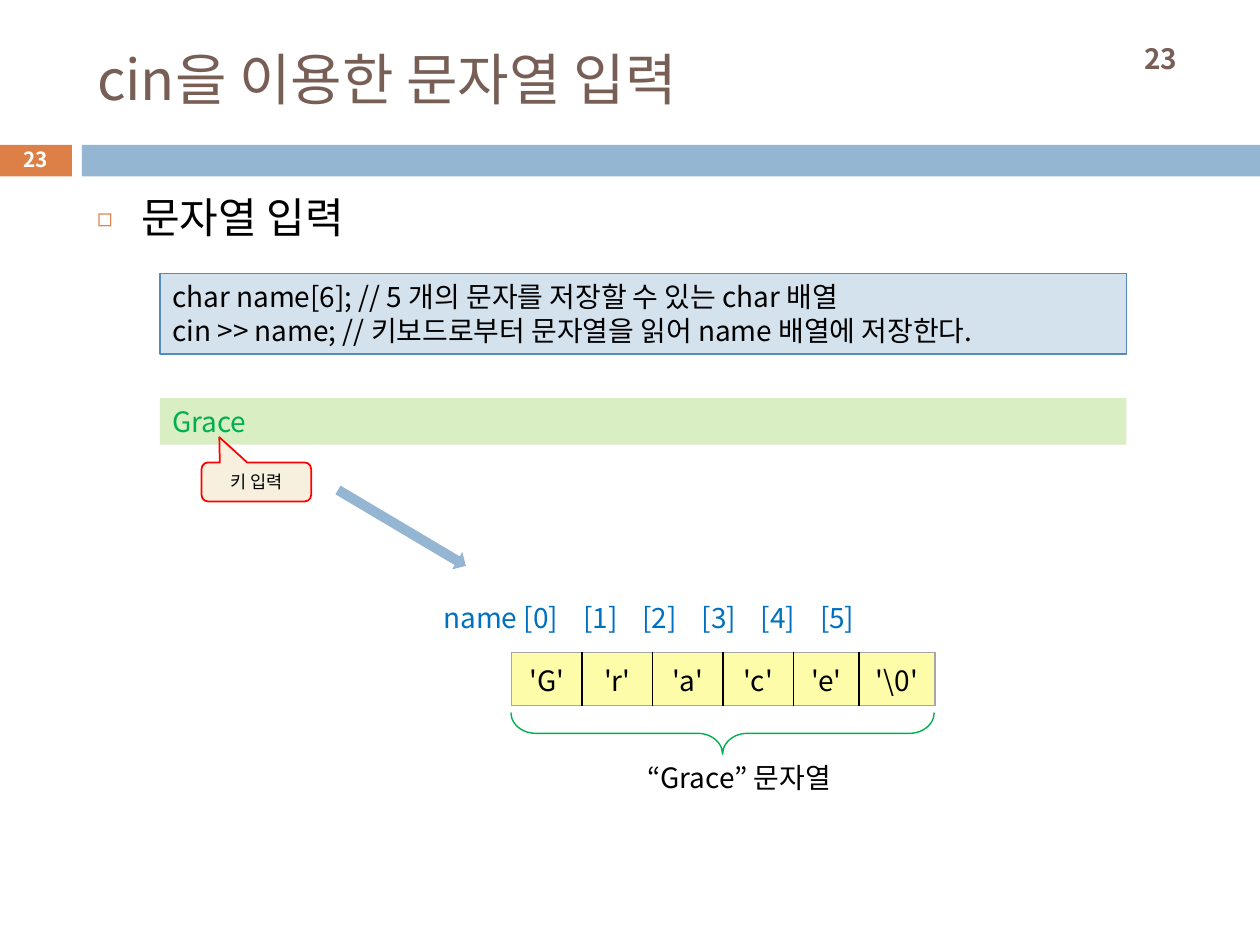
import pptx
import pptx.dml.color
import pptx.enum.shapes
import pptx.enum.text
import pptx.oxml
import pptx.oxml.ns
import pptx.util
from lxml import etree

Inches, Pt = pptx.util.Inches, pptx.util.Pt
SHAPE = pptx.enum.shapes.MSO_SHAPE
ALIGN = pptx.enum.text.PP_ALIGN
ANCHOR = pptx.enum.text.MSO_ANCHOR
FONT = "Noto Sans CJK KR"
COLORS = {
    "text": "000000", "brown": "775F55", "orange": "DD8047", "blue": "94B6D2",
    "white": "FFFFFF", "cell": "FDFDA9", "cell_edge": "A6A6A6", "green": "00B050",
    "index": "0070C0", "code": "D4E2ED", "code_edge": "558BB8",
    "input": "DAEEC4", "callout": "F7F0DE", "red": "FF0000",
}


def rgb(name):
    return pptx.dml.color.RGBColor.from_string(COLORS[name])


def add_xml(parent, tag, **attributes):
    return etree.SubElement(parent, pptx.oxml.ns.qn(tag), attributes)


class SlideBuilder:
    def __init__(self, slide):
        self.slide = slide

    def fill_text(self, frame, lines, size=16, color="text", bold=False,
                  align=ALIGN.LEFT, anchor=ANCHOR.TOP):
        frame.word_wrap = True
        frame.auto_size = pptx.enum.text.MSO_AUTO_SIZE.NONE
        frame.vertical_anchor = anchor
        for number, line in enumerate(lines):
            paragraph = frame.add_paragraph() if number else frame.paragraphs[0]
            self.add_run(paragraph, line, size, color, bold, align)

    def add_run(self, paragraph, text, size, color, bold=False, align=ALIGN.LEFT):
        paragraph.alignment = align
        run = paragraph.add_run()
        run.text = text
        run.font.name = FONT
        run.font.size = Pt(size)
        run.font.bold = bold
        run.font.color.rgb = rgb(color)
        add_xml(run.font._element, "a:ea", typeface=FONT)

    def placeholder(self, index, box, text, **style):
        holder = self.slide.placeholders[index]
        holder.left, holder.top, holder.width, holder.height = map(Inches, box)
        self.fill_text(holder.text_frame, [text], **style)
        return holder.text_frame.paragraphs[0]

    def bullet(self, paragraph, char, color, percent, indent):
        props = paragraph._p.get_or_add_pPr()
        props.set("marL", str(Inches(indent)))
        props.set("indent", str(-Inches(indent)))
        add_xml(add_xml(props, "a:buClr"), "a:srgbClr", val=COLORS[color])
        add_xml(props, "a:buSzPct", val=str(percent * 1000))
        add_xml(props, "a:buFont", typeface=FONT)
        add_xml(props, "a:buChar", char=char)

    def text(self, box, *lines, **style):
        label = self.slide.shapes.add_textbox(*map(Inches, box))
        self.fill_text(label.text_frame, lines, **style)
        return label.text_frame.paragraphs[0]

    def tab_stops(self, paragraph, positions):
        stops = add_xml(paragraph._p.get_or_add_pPr(), "a:tabLst")
        for position in positions:
            add_xml(stops, "a:tab", pos=str(Inches(position)), algn="l")

    def shape(self, kind, box, *lines, fill=None, line=None, width=1,
              rotation=0, adjust=(), **style):
        shape = self.slide.shapes.add_shape(kind, *map(Inches, box))
        shape.shadow.inherit = False
        shape.rotation = rotation
        for number, value in enumerate(adjust):
            shape.adjustments[number] = value
        if fill:
            shape.fill.solid()
            shape.fill.fore_color.rgb = rgb(fill)
        else:
            shape.fill.background()
        if line:
            shape.line.color.rgb = rgb(line)
            shape.line.width = Pt(width)
        else:
            shape.line.fill.background()
        if lines:
            self.fill_text(shape.text_frame, lines, **style)

    def array(self, left, top, height, widths, values):
        frame = self.slide.shapes.add_table(
            1, len(values), *map(Inches, (left, top, sum(widths), height)))
        table = frame.table
        table.first_row = table.horz_banding = False
        last = len(values) - 1
        for number, (width, value) in enumerate(zip(widths, values)):
            table.columns[number].width = Inches(width)
            cell = table.cell(0, number)
            self.add_run(cell.text_frame.paragraphs[0], value, 16, "text",
                         align=ALIGN.CENTER)
            edges = {"a:lnL": number == 0, "a:lnR": number == last,
                     "a:lnT": True, "a:lnB": True}
            for tag, outer in edges.items():
                edge = add_xml(cell._tc.get_or_add_tcPr(), tag, w=str(Pt(1)))
                color = COLORS["cell_edge" if outer else "text"]
                add_xml(add_xml(edge, "a:solidFill"), "a:srgbClr", val=color)
            cell.fill.solid()
            cell.fill.fore_color.rgb = rgb("cell")


def main():
    deck = pptx.Presentation()
    deck.slide_width, deck.slide_height = Inches(10), Inches(7.5)
    page = SlideBuilder(deck.slides.add_slide(deck.slide_layouts[1]))
    centered = {"align": ALIGN.CENTER, "anchor": ANCHOR.MIDDLE}

    # Header band and page numbers
    page.shape(SHAPE.RECTANGLE, (-0.01, 1.15, 0.58, 0.25), fill="orange")
    page.shape(SHAPE.RECTANGLE, (0.65, 1.15, 9.35, 0.25), fill="blue")
    page.text((8.75, 0.25, 0.92, 0.42), "23", color="brown", bold=True, **centered)
    page.text((-0.01, 1.13, 0.58, 0.27), "23", size=11.9, color="white",
              bold=True, **centered)

    # Title and topic
    page.placeholder(0, (0.67, 0.25, 8.92, 0.74), "cin을 이용한 문자열 입력",
                     size=32, color="brown", anchor=ANCHOR.MIDDLE)
    topic = page.placeholder(1, (0.67, 1.47, 8.92, 5.51), "문자열 입력", size=24)
    topic.space_before = Pt(7)
    page.bullet(topic, "◻", "orange", 60, 0.35)

    # Array contents with index labels
    left, widths = 4.06, [0.56] * 4 + [0.52, 0.6]
    page.array(left, 5.18, 0.37, widths, ["'G'", "'r'", "'a'", "'c'", "'e'", "'\\0'"])
    indexes = "\t".join(f"[{number}]" for number in range(len(widths)))
    index_row = page.text((3.42, 4.72, 3.99, 0.37), "name " + indexes, color="index")
    page.tab_stops(index_row, [1.11 + 0.47 * step for step in range(len(widths) - 1)])

    # Brace under the array
    page.shape(SHAPE.LEFT_BRACE, (5.57, 4.14, 0.33, sum(widths)), line="green",
               width=0.79, rotation=270, adjust=(0.598, 0.5))
    page.text((5.04, 5.99, 1.71, 0.37), "“Grace” 문자열")

    # Code and keyboard input
    page.shape(SHAPE.RECTANGLE, (1.27, 2.17, 7.67, 0.64),
               "char name[6]; // 5 개의 문자를 저장할 수 있는 char 배열",
               "cin >> name; // 키보드로부터 문자열을 읽어 name 배열에 저장한다.",
               fill="code", line="code_edge", width=0.75)
    page.shape(SHAPE.RECTANGLE, (1.27, 3.16, 7.67, 0.37), "Grace",
               fill="input", color="green")
    page.shape(SHAPE.ROUNDED_RECTANGULAR_CALLOUT, (1.6, 3.67, 0.87, 0.31), "키 입력",
               fill="callout", line="red", adjust=(-0.338, -1.147, 0.167),
               size=10, **centered)
    page.shape(SHAPE.RIGHT_ARROW, (2.6, 4.11, 1.18, 0.16), fill="blue", rotation=30.7)

    deck.save("out.pptx")


if __name__ == "__main__":
    main()
